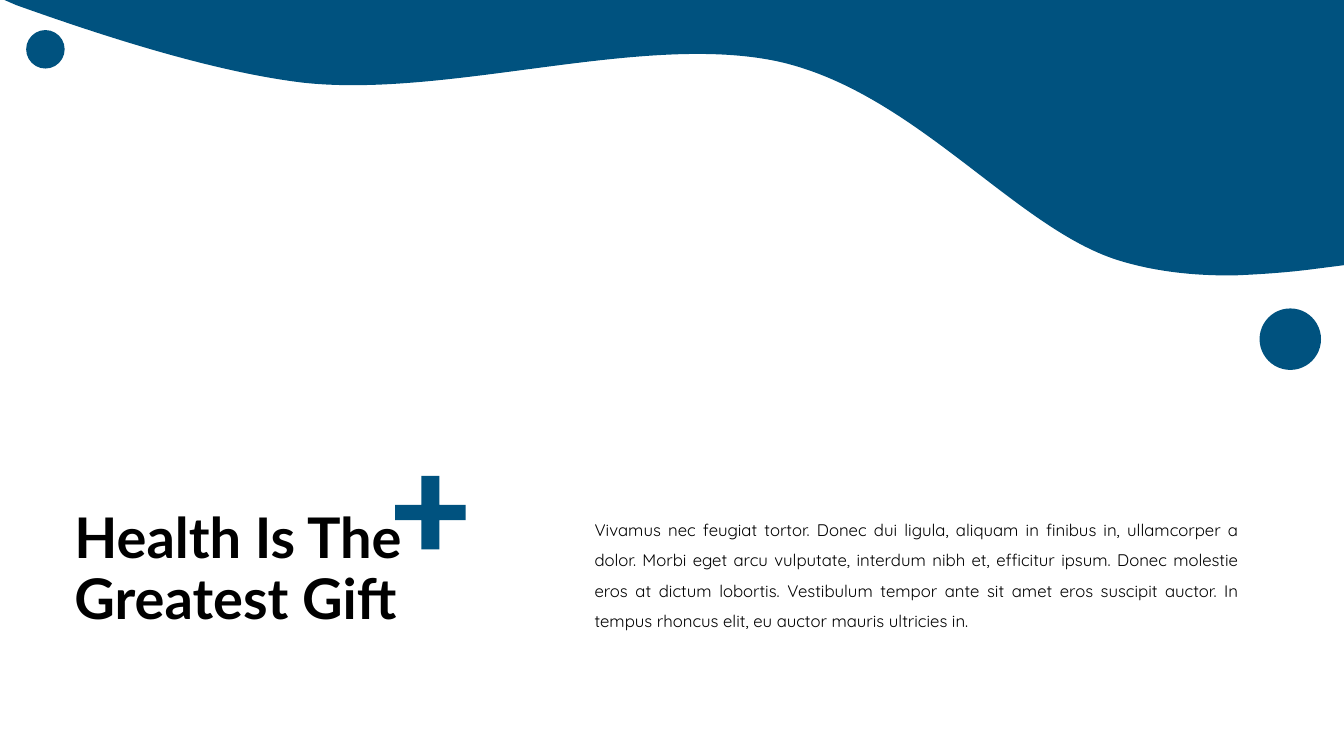
from lxml import etree
from pptx import Presentation
from pptx.dml.color import RGBColor
from pptx.enum.shapes import MSO_SHAPE
from pptx.enum.text import MSO_ANCHOR, MSO_AUTO_SIZE, PP_ALIGN
from pptx.oxml.ns import qn
from pptx.util import Pt

OVAL = MSO_SHAPE.OVAL
LEFT, JUSTIFY = PP_ALIGN.LEFT, PP_ALIGN.JUSTIFY
TOP, MIDDLE = MSO_ANCHOR.TOP, MSO_ANCHOR.MIDDLE
NO_FIT, GROW = MSO_AUTO_SIZE.NONE, MSO_AUTO_SIZE.SHAPE_TO_FIT_TEXT

COLORS = {"blue": "00527F", "black": "000000"}

TITLE = "Health Is The Greatest Gift"
BODY = (
    "Vivamus nec feugiat tortor. Donec dui ligula, aliquam in finibus in, "
    "ullamcorper a dolor. Morbi eget arcu vulputate, interdum nibh et, "
    "efficitur ipsum. Donec molestie eros at dictum lobortis. Vestibulum "
    "tempor ante sit amet eros suscipit auctor. In tempus rhoncus elit, eu "
    "auctor mauris ultricies in."
)
TITLE_BOX = (46, 355.7, 365.8, 104.4)
BODY_BOX = (417.6, 360.5, 474.5, 94.3)
TITLE_FONT = {"name": "Lato", "size": Pt(40), "bold": True}
BODY_FONT = {"name": "Quicksand", "size": Pt(12), "bold": False}

LARGE_DOT = (899.7, 220.3, 43.9)
SMALL_DOT = (18.7, 21.5, 27.5)

WAVE_START = (11.5, 3.6)
WAVE_CURVES = [
    ((72, 25.2), (151.2, 51.1), (216, 59)),
    ((320.4, 70.6), (458.6, 23), (555.8, 43.9)),
    ((653, 65.5), (725, 162.7), (798.5, 185.8)),
    ((825.8, 194.4), (856.1, 197.3), (884.2, 196.6)),
    ((902.9, 195.8), (921.6, 194.4), (938.2, 192.2)),
]
WAVE_CORNERS = [(960, 189.4), (960, -1.4), (0, -1.4)]

PLUS_X = (282.2, 301, 313.9, 332.6)
PLUS_Y = (340, 360.7, 371.5, 392.4)


def rgb(name):
    return RGBColor.from_string(COLORS[name])


def paint(sp):
    sp.shadow.inherit = False
    sp.fill.solid()
    sp.fill.fore_color.rgb = rgb("blue")
    sp.line.fill.background()


def add_outline(s, points):
    pts = [(Pt(x), Pt(y)) for x, y in points]
    builder = s.shapes.build_freeform(*pts[0])
    builder.add_line_segments(pts[1:], close=True)
    sp = builder.convert_to_shape()
    paint(sp)
    return sp


def add_wave(s):
    ends = [curve[-1] for curve in WAVE_CURVES]
    sp = add_outline(s, [WAVE_START] + ends + WAVE_CORNERS)
    segments = list(sp.element.iter(qn("a:lnTo")))
    for segment, curve in zip(segments, WAVE_CURVES):
        bezier = etree.Element(qn("a:cubicBezTo"))
        for x, y in curve:
            pt = etree.SubElement(bezier, qn("a:pt"))
            pt.set("x", str(Pt(x) - sp.left))
            pt.set("y", str(Pt(y) - sp.top))
        segment.getparent().replace(segment, bezier)


def add_dot(s, x, y, size):
    paint(s.shapes.add_shape(OVAL, Pt(x), Pt(y), Pt(size), Pt(size)))


def write_text(sp, text, font, align, spacing, anchor, fit):
    tf = sp.text_frame
    tf.word_wrap = True
    tf.auto_size = fit
    tf.vertical_anchor = anchor
    p = tf.paragraphs[0]
    p.alignment = align
    p.line_spacing = spacing
    r = p.add_run()
    r.text = text
    for key, value in font.items():
        setattr(r.font, key, value)
    r.font.color.rgb = rgb("black")


def main():
    prs = Presentation()
    prs.slide_width, prs.slide_height = Pt(960), Pt(540)
    s = prs.slides.add_slide(prs.slide_layouts[5])

    add_wave(s)
    add_dot(s, *LARGE_DOT)

    x0, x1, x2, x3 = PLUS_X
    y0, y1, y2, y3 = PLUS_Y
    add_outline(s, [
        (x1, y0), (x2, y0), (x2, y1), (x3, y1), (x3, y2), (x2, y2),
        (x2, y3), (x1, y3), (x1, y2), (x0, y2), (x0, y1), (x1, y1),
    ])

    body = s.shapes.add_textbox(*map(Pt, BODY_BOX))
    write_text(body, BODY, BODY_FONT, JUSTIFY, 1.5, TOP, GROW)
    add_dot(s, *SMALL_DOT)

    title = s.shapes.title
    title.left, title.top, title.width, title.height = map(Pt, TITLE_BOX)
    write_text(title, TITLE, TITLE_FONT, LEFT, 0.9, MIDDLE, NO_FIT)
    s.shapes.element.append(title.element)

    prs.save("out.pptx")


if __name__ == "__main__":
    main()
